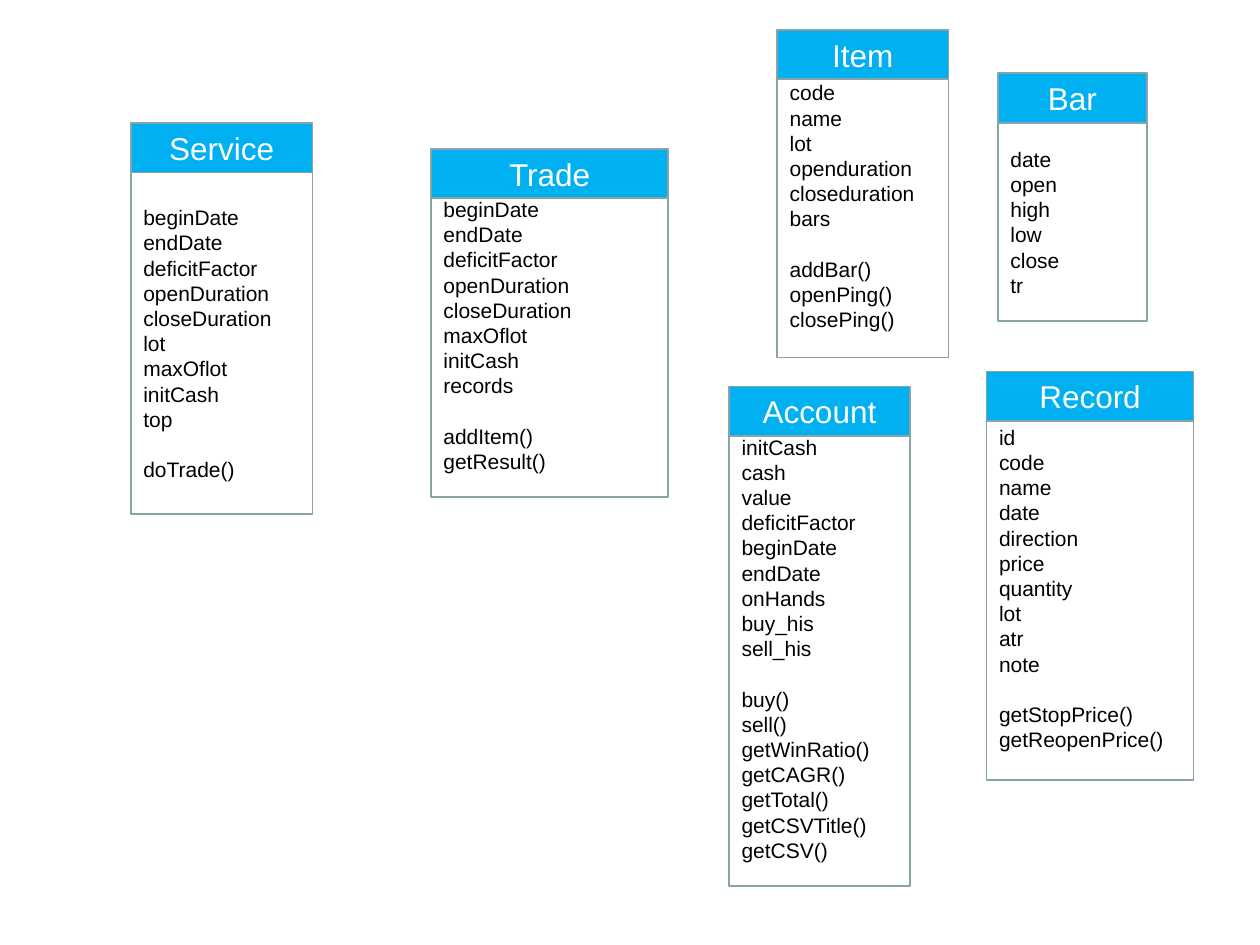
from dataclasses import dataclass

from pptx import Presentation
from pptx.dml.color import RGBColor
from pptx.enum.shapes import MSO_SHAPE
from pptx.enum.text import MSO_ANCHOR, PP_ALIGN
from pptx.util import Cm, Pt


@dataclass(frozen=True)
class Theme:
    font: str = "Arial"
    title_size: Pt = Pt(18)
    member_size: Pt = Pt(12)
    line_pitch: Pt = Pt(14.4)
    border_width: Pt = Pt(1)
    accent: RGBColor = RGBColor(0x00, 0xB0, 0xF0)
    border: RGBColor = RGBColor(0x89, 0xA4, 0xA7)
    white: RGBColor = RGBColor(0xFF, 0xFF, 0xFF)
    black: RGBColor = RGBColor(0x00, 0x00, 0x00)


THEME = Theme()
HEADER_HEIGHT = Cm(1)


@dataclass(frozen=True)
class ClassBox:
    """A class with its box in centimetres; tail is the count of free lines at the foot."""
    name: str
    box: tuple
    fields: str
    methods: str = ""
    tail: int = 1


CLASSES = [
    ClassBox("Trade", (8.69, 3, 4.78, 7.02),
             "beginDate endDate deficitFactor openDuration closeDuration "
             "maxOflot initCash records",
             "addItem() getResult()"),
    ClassBox("Item", (15.67, 0.6, 3.45, 6.61),
             "code name lot openduration closeduration bars",
             "addBar() openPing() closePing()"),
    ClassBox("Bar", (20.12, 1.48, 3, 4.99),
             "date open high low close tr", tail=0),
    ClassBox("Record", (19.89, 7.49, 4.17, 8.24),
             "id code name date direction price quantity lot atr note",
             "getStopPrice() getReopenPrice()"),
    ClassBox("Account", (14.7, 7.79, 3.64, 10.07),
             "initCash cash value deficitFactor beginDate endDate onHands "
             "buy_his sell_his",
             "buy() sell() getWinRatio() getCAGR() getTotal() getCSVTitle() getCSV()"),
    ClassBox("Service", (2.64, 2.48, 3.66, 7.88),
             "beginDate endDate deficitFactor openDuration closeDuration lot "
             "maxOflot initCash top",
             "doTrade()", tail=0),
]


def add_panel(slide, left, top, width, height, fill):
    panel = slide.shapes.add_shape(MSO_SHAPE.RECTANGLE, left, top, width, height)
    panel.shadow.inherit = False
    panel.fill.solid()
    panel.fill.fore_color.rgb = fill
    panel.line.color.rgb = THEME.border
    panel.line.width = THEME.border_width
    panel.text_frame.word_wrap = True
    panel.text_frame.vertical_anchor = MSO_ANCHOR.MIDDLE
    return panel


def style_paragraph(paragraph, size, color, alignment):
    paragraph.alignment = alignment
    paragraph.font.name = THEME.font
    paragraph.font.size = size
    paragraph.font.color.rgb = color


def add_header(slide, left, top, width, name):
    frame = add_panel(slide, left, top, width, HEADER_HEIGHT, THEME.accent).text_frame
    frame.text = name
    style_paragraph(frame.paragraphs[0], THEME.title_size, THEME.white, PP_ALIGN.CENTER)


def add_members(slide, left, top, width, height, class_box):
    """List fields, then methods set off by one line of space."""
    frame = add_panel(slide, left, top, width, height, THEME.white).text_frame
    frame.margin_bottom += class_box.tail * THEME.line_pitch
    fields = class_box.fields.split()
    frame.text = "\n".join(fields + class_box.methods.split())
    for index, paragraph in enumerate(frame.paragraphs):
        style_paragraph(paragraph, THEME.member_size, THEME.black, PP_ALIGN.LEFT)
        paragraph.line_spacing = THEME.line_pitch
        if index == len(fields):
            paragraph.space_before = THEME.line_pitch


def add_class(slide, class_box):
    left, top, width, height = map(Cm, class_box.box)
    add_header(slide, left, top, width, class_box.name)
    add_members(slide, left, top + HEADER_HEIGHT, width, height - HEADER_HEIGHT, class_box)


def main():
    presentation = Presentation()
    presentation.slide_width, presentation.slide_height = Cm(25.4), Cm(19.05)
    slide = presentation.slides.add_slide(presentation.slide_layouts[6])
    for class_box in CLASSES:
        add_class(slide, class_box)
    presentation.save("out.pptx")


if __name__ == "__main__":
    main()
